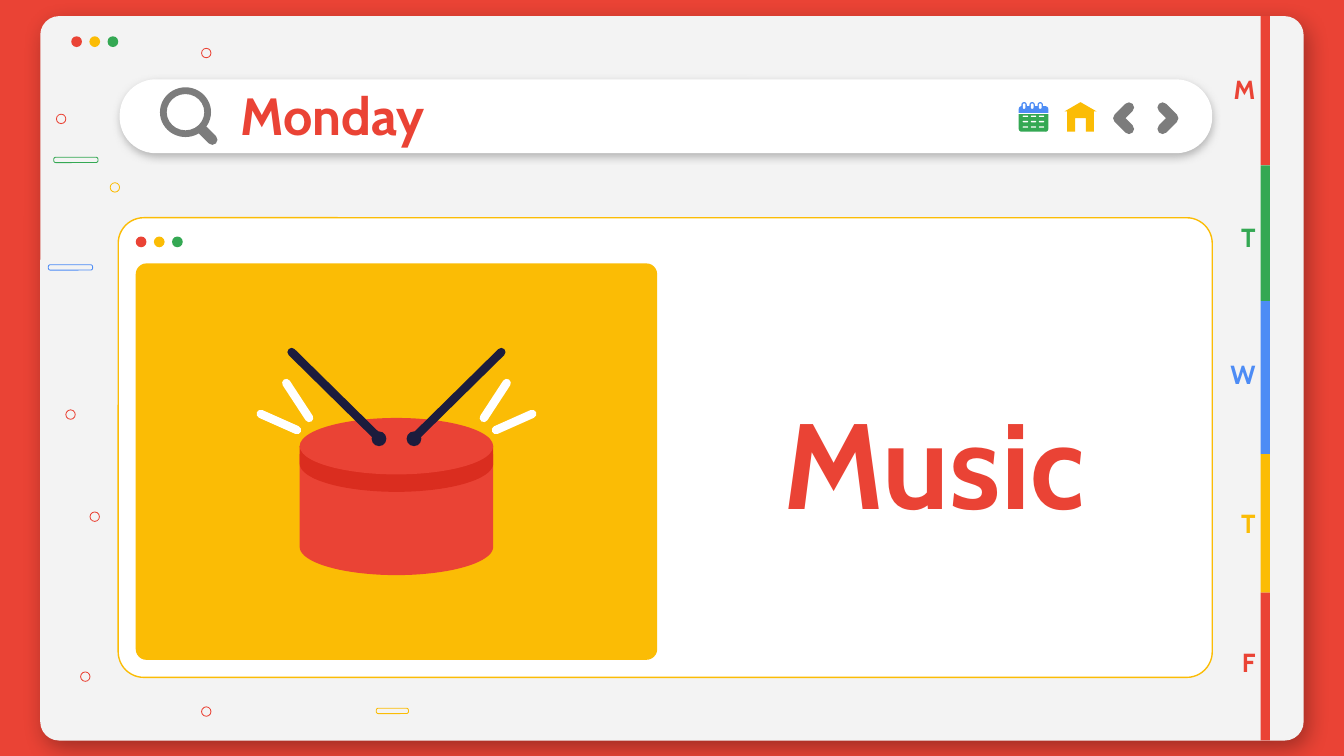
import math
from dataclasses import dataclass
from typing import Optional

import pptx
import pptx.dml.color
import pptx.enum.shapes
import pptx.enum.text
import pptx.oxml
import pptx.oxml.ns
import pptx.util

Inches = pptx.util.Inches
Pt = pptx.util.Pt
qn = pptx.oxml.ns.qn
MSO = pptx.enum.shapes.MSO_SHAPE
ALIGN = pptx.enum.text.PP_ALIGN

COLORS = {
    "red": "EA4335", "yellow": "FBBC05", "green": "34A853", "blue": "4D8CF5",
    "gray": "7C7C7C", "page": "F3F3F3", "white": "FFFFFF",
    "rim": "DA2D1F", "navy": "1C1C3D", "black": "000000",
}
FRAME = {"word_wrap": True, "vertical_anchor": pptx.enum.text.MSO_ANCHOR.MIDDLE}
FRAME.update({f"margin_{side}": Inches(0.1) for side in ("left", "top", "right", "bottom")})
DRUM_X, DRUM_RX, DRUM_RY = 2.95, 0.72, 0.21


@dataclass
class Box:
    x: float
    y: float
    w: float
    h: float
    fill: Optional[str] = None
    line: Optional[str] = None
    weight: float = 0.44
    radius: float = 0
    rotation: float = 0


@dataclass
class Label:
    text: str
    x: float
    y: float
    w: float
    h: float
    size: float
    color: str
    align: ALIGN = ALIGN.LEFT


@dataclass
class Shadow:
    color: str
    alpha: int
    blur: float
    dist: float
    angle: int


@dataclass
class Stroke:
    x1: float
    y1: float
    x2: float
    y2: float
    color: str
    weight: float


def rgb(name: str):
    return pptx.dml.color.RGBColor.from_string(COLORS[name])


def paint(sp, fill: Optional[str], line: Optional[str] = None, weight: float = 0.44) -> None:
    sp.shadow.inherit = False
    if fill:
        sp.fill.solid()
        sp.fill.fore_color.rgb = rgb(fill)
    else:
        sp.fill.background()
    if line:
        sp.line.color.rgb = rgb(line)
        sp.line.width = Pt(weight)
    else:
        sp.line.fill.background()


def draw_box(s, kind, b: Box):
    sp = s.shapes.add_shape(kind, *map(Inches, (b.x, b.y, b.w, b.h)))
    paint(sp, b.fill, b.line, b.weight)
    sp.rotation = b.rotation
    if b.radius:
        sp.adjustments[0] = b.radius / min(b.w, b.h)
    return sp


def draw_outline(s, points, closed: bool = True):
    (x, y), *rest = [(Inches(px), Inches(py)) for px, py in points]
    builder = s.shapes.build_freeform(x, y)
    builder.add_line_segments(rest, close=closed)
    return builder.convert_to_shape()


def round_ends(sp) -> None:
    ln = sp._element.spPr.find(qn("a:ln"))
    ln.set("cap", "rnd")
    ln.append(pptx.oxml.parse_xml(f"<a:round {pptx.oxml.ns.nsdecls('a')}/>"))


def draw_stroke(s, k: Stroke) -> None:
    cx = s.shapes.add_connector(
        pptx.enum.shapes.MSO_CONNECTOR.STRAIGHT, *map(Inches, (k.x1, k.y1, k.x2, k.y2)))
    cx.line.color.rgb = rgb(k.color)
    cx.line.width = Pt(k.weight)
    round_ends(cx)
    cx._element.spPr.append(pptx.oxml.parse_xml(f"<a:effectLst {pptx.oxml.ns.nsdecls('a')}/>"))


def cast_shadow(sp, d: Shadow) -> None:
    sp._element.spPr.find(qn("a:effectLst")).append(pptx.oxml.parse_xml(
        f"<a:outerShdw {pptx.oxml.ns.nsdecls('a')} blurRad='{Pt(d.blur)}' dist='{Pt(d.dist)}' "
        f"dir='{d.angle * 60000}' algn='bl' rotWithShape='0'><a:srgbClr val='{COLORS[d.color]}'>"
        f"<a:alpha val='{d.alpha * 1000}'/></a:srgbClr></a:outerShdw>"))


def draw_label(s, t: Label) -> None:
    tf = s.shapes.add_textbox(*map(Inches, (t.x, t.y, t.w, t.h))).text_frame
    for name, value in FRAME.items():
        setattr(tf, name, value)
    p = tf.paragraphs[0]
    p.alignment = t.align
    r = p.add_run()
    r.text = t.text
    for name, value in {"name": "Cabin", "size": Pt(t.size), "bold": True}.items():
        setattr(r.font, name, value)
    r.font.color.rgb = rgb(t.color)


def draw_window_dots(s, x: float, y: float) -> None:
    for i, color in enumerate(("red", "yellow", "green")):
        draw_box(s, MSO.OVAL, Box(x + 0.135 * i, y, 0.08, 0.08, color))


def draw_barrel(s, top: float, bottom: float, color: str) -> None:
    arc = [(DRUM_X + DRUM_RX * math.cos(a), bottom + DRUM_RY * math.sin(a))
           for a in (math.pi * i / 40 for i in range(41))]
    paint(draw_outline(s, [(DRUM_X - DRUM_RX, top), (DRUM_X + DRUM_RX, top), *arc]), color)


def draw_drum(s) -> None:
    draw_barrel(s, 3.38, 4.07, "red")
    draw_barrel(s, 3.32, 3.45, "rim")
    draw_box(s, MSO.OVAL, Box(DRUM_X - DRUM_RX, 3.11, 2 * DRUM_RX, 2 * DRUM_RY, "red"))
    for side in (-1, 1):
        for dx1, y1, dx2, y2, color in (
            (0.78, 2.62, 0.14, 3.25, "navy"),
            (0.82, 2.85, 0.65, 3.11, "white"),
            (1.01, 3.08, 0.74, 3.2, "white"),
        ):
            draw_stroke(s, Stroke(DRUM_X + side * dx1, y1, DRUM_X + side * dx2, y2, color, 4.5))
        draw_box(s, MSO.OVAL, Box(DRUM_X + side * 0.13 - 0.055, 3.21, 0.11, 0.11, "navy"))


def draw_calendar(s, x: float, y: float) -> None:
    draw_box(s, MSO.ROUND_2_SAME_RECTANGLE, Box(x, y + 0.09, 0.22, 0.13, "green", radius=0.02, rotation=180))
    draw_box(s, MSO.ROUND_2_SAME_RECTANGLE, Box(x, y + 0.03, 0.22, 0.05, "blue", radius=0.02))
    for col in range(3):
        left = x + 0.03 + 0.06 * col
        draw_box(s, MSO.ROUNDED_RECTANGLE, Box(left - 0.01, y, 0.04, 0.06, "blue", radius=0.02))
        draw_box(s, MSO.ROUNDED_RECTANGLE, Box(left, y + 0.01, 0.02, 0.04, "white", radius=0.01))
        for row in range(3):
            draw_box(s, MSO.ROUNDED_RECTANGLE, Box(left, y + 0.1 + 0.04 * row, 0.04, 0.01, "white", radius=0.005))


def draw_search_icons(s) -> None:
    draw_box(s, MSO.DONUT, Box(1.19, 0.65, 0.38, 0.37, "gray", radius=0.05))
    draw_stroke(s, Stroke(1.51, 0.97, 1.58, 1.04, "gray", 5.5))
    draw_calendar(s, 7.58, 0.76)
    house = [(8.04, 0.76), (7.92, 0.83), (7.94, 0.83), (7.94, 0.98), (8, 0.98), (8, 0.88),
             (8.08, 0.88), (8.08, 0.98), (8.14, 0.98), (8.14, 0.83), (8.16, 0.83)]
    paint(draw_outline(s, house), "yellow")
    for tail, tip in ((8.4, 8.32), (8.65, 8.73)):
        sp = draw_outline(s, [(tail, 0.8), (tip, 0.88), (tail, 0.96)], closed=False)
        paint(sp, None, "gray", 5.5)
        round_ends(sp)


def draw_page(s) -> None:
    page = draw_box(s, MSO.ROUNDED_RECTANGLE, Box(0.3, 0.12, 9.4, 5.39, "page", radius=0.14))
    cast_shadow(page, Shadow("black", 32, 12.4, 5.2, 57))
    draw_window_dots(s, 0.53, 0.27)
    draw_box(s, MSO.ROUNDED_RECTANGLE, Box(0.88, 1.62, 8.14, 3.42, "white", "yellow", 0.75, 0.19))
    for x, color in ((5.01, "white"), (1.01, "yellow")):
        draw_box(s, MSO.ROUNDED_RECTANGLE, Box(x, 1.96, 3.88, 2.95, color, radius=0.08))
    draw_window_dots(s, 1.01, 1.76)
    bar = draw_box(s, MSO.ROUNDED_RECTANGLE, Box(0.89, 0.59, 8.13, 0.55, "white", radius=0.27))
    cast_shadow(bar, Shadow("gray", 50, 4.5, 1.5, 90))


def draw_confetti(s) -> None:
    for x, y, color in ((0.67, 3.81, "red"), (0.82, 1.36, "yellow"), (0.42, 0.85, "red"), (0.6, 5, "red"),
                        (0.49, 3.05, "red"), (1.5, 0.36, "red"), (1.5, 5.26, "red")):
        draw_box(s, MSO.OVAL, Box(x, y, 0.07, 0.07, line=color))
    for x, y, w, color in ((2.8, 5.27, 0.24, "yellow"), (0.36, 1.97, 0.33, "blue"), (0.4, 1.17, 0.33, "green")):
        draw_box(s, MSO.ROUNDED_RECTANGLE, Box(x, y, w, 0.04, line=color, radius=0.015))


def draw_day_tabs(s) -> None:
    edges = (0.12, 1.23, 2.24, 3.38, 4.41, 5.51)
    days = (("M", 0.51, "red"), ("T", 1.61, "green"), ("W", 2.63, "blue"),
            ("T", 3.74, "yellow"), ("F", 4.77, "red"))
    for (day, y, color), top, bottom in zip(days, edges, edges[1:]):
        draw_box(s, MSO.RECTANGLE, Box(9.38, top, 0.07, bottom - top, color))
        draw_label(s, Label(day, 8.96, y, 0.48, 0.31, 14, color, ALIGN.RIGHT))


def main() -> None:
    prs = pptx.Presentation()
    prs.slide_width = Inches(10)
    prs.slide_height = prs.slide_width * 9 // 16
    s = prs.slides.add_slide(prs.slide_layouts[6])
    s.background.fill.solid()
    s.background.fill.fore_color.rgb = rgb("red")
    draw_page(s)
    draw_confetti(s)
    draw_label(s, Label("Monday", 1.69, 0.59, 7.09, 0.52, 28, "red"))
    draw_label(s, Label("Music", 5.01, 2.63, 3.88, 1.6, 65, "red", ALIGN.CENTER))
    draw_day_tabs(s)
    draw_search_icons(s)
    draw_drum(s)
    prs.save("out.pptx")


if __name__ == "__main__":
    main()
